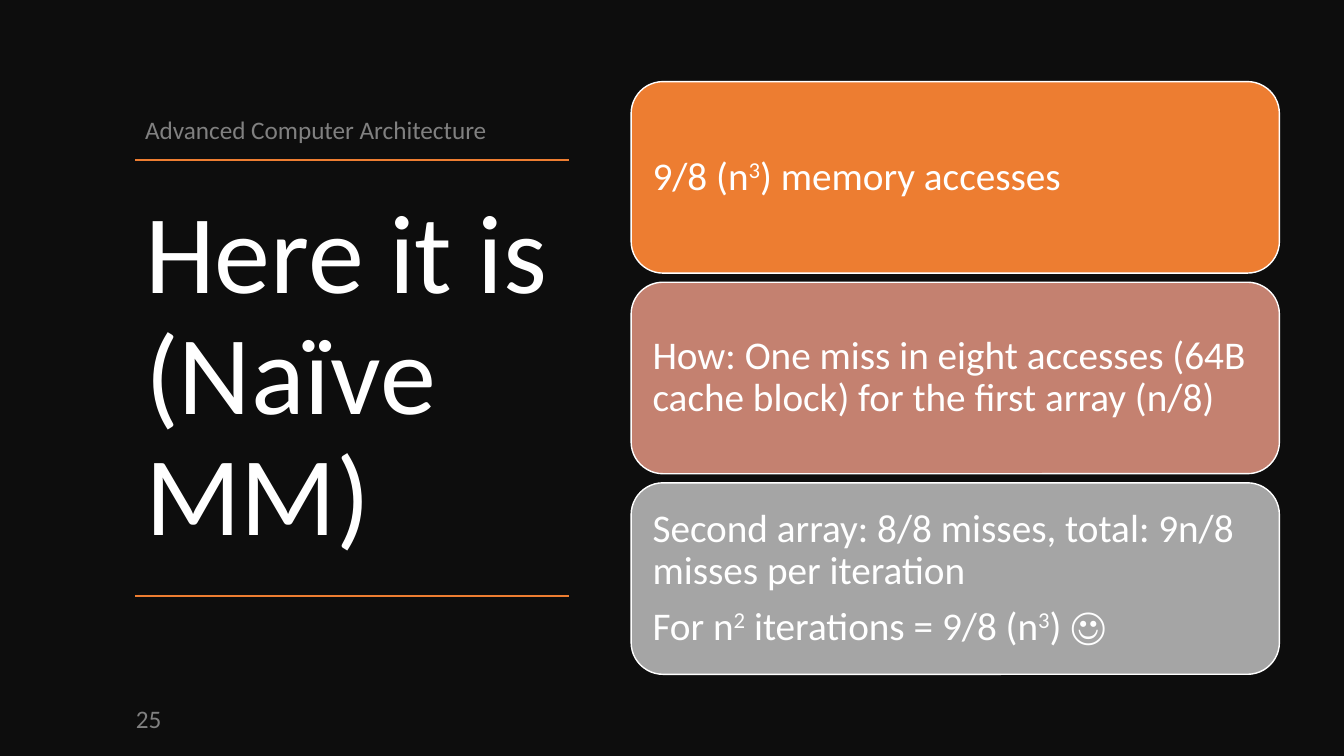
from lxml.etree import SubElement
from pptx import Presentation
from pptx.dml.color import RGBColor
from pptx.enum.shapes import MSO_CONNECTOR, MSO_SHAPE
from pptx.enum.text import MSO_ANCHOR, PP_ALIGN
from pptx.oxml.ns import qn
from pptx.util import Inches, Pt

BLACK, WHITE, GRAY, ORANGE = "0D0D0D", "FFFFFF", "808080", "ED7D31"
CARD_TOP, CARD_STEP = 0.81, 1.99
CARDS = [
    (ORANGE, ["9/8 (n^3^) memory accesses"]),
    ("C48170", ["How: One miss in eight accesses (64B cache block) "
                "for the first array (n/8)"]),
    ("A5A5A5", ["Second array: 8/8 misses, total: 9n/8 misses per iteration",
                "For n^2^ iterations = 9/8 (n^3^) ☺"]),
]


def color(value):
    return RGBColor.from_string(value)


def write(frame, lines, size, ink, space_after=0):
    """Fill a text frame; text between two carets is superscript."""
    frame.word_wrap = True
    frame.vertical_anchor = MSO_ANCHOR.MIDDLE
    for number, line in enumerate(lines):
        para = frame.add_paragraph() if number else frame.paragraphs[0]
        para.alignment = PP_ALIGN.LEFT
        para.line_spacing = 0.9
        para.space_after = Pt(space_after)
        para.font.name = "Calibri"
        para.font.size = Pt(size)
        para.font.color.rgb = color(ink)
        for index, part in enumerate(line.split("^")):
            span = para.add_run()
            span.text = part
            if index % 2:
                span._r.get_or_add_rPr().set("baseline", "30000")


def add_text(page, left, top, width, height, text, size, ink, space_after=0):
    box = page.shapes.add_textbox(
        Inches(left), Inches(top), Inches(width), Inches(height))
    write(box.text_frame, [text], size, ink, space_after)
    return box


def add_rule(page, top):
    rule = page.shapes.add_connector(
        MSO_CONNECTOR.STRAIGHT,
        Inches(5.64), Inches(top), Inches(1.34), Inches(top))
    rule.line.color.rgb = color(ORANGE)
    rule.line.width = Pt(1.5)
    SubElement(rule._element.spPr, qn("a:effectLst"))


def add_card(page, top, fill, lines):
    card = page.shapes.add_shape(
        MSO_SHAPE.ROUNDED_RECTANGLE,
        Inches(6.26), Inches(top), Inches(6.43), Inches(1.9))
    card.shadow.inherit = False
    card.fill.solid()
    card.fill.fore_color.rgb = color(fill)
    card.line.color.rgb = color(WHITE)
    card.line.width = Pt(1)
    frame = card.text_frame
    frame.margin_left = frame.margin_right = Inches(0.12)
    frame.margin_top = frame.margin_bottom = Inches(0.12)
    write(frame, lines, 28, WHITE, space_after=9.8)


def main():
    deck = Presentation()
    deck.slide_width, deck.slide_height = Inches(13.33), Inches(7.5)
    page = deck.slides.add_slide(deck.slide_layouts[6])
    page.background.fill.solid()
    page.background.fill.fore_color.rgb = color(BLACK)

    title = add_text(page, 1.34, 1.59, 4.3, 4.33, "Here it is", 80, WHITE)
    heading = title.text_frame.paragraphs[0]
    heading.add_line_break()
    heading.add_run().text = "(Naïve MM)"
    add_text(page, 1.34, 1.1, 4.32, 0.4,
             "Advanced Computer Architecture", 18, GRAY, space_after=6)
    for top in (1.59, 5.91):
        add_rule(page, top)
    add_text(page, 1.25, 6.95, 2.24, 0.4, "25", 18, GRAY, space_after=6)

    for number, (fill, lines) in enumerate(CARDS):
        add_card(page, CARD_TOP + number * CARD_STEP, fill, lines)
    deck.save("out.pptx")


if __name__ == "__main__":
    main()
